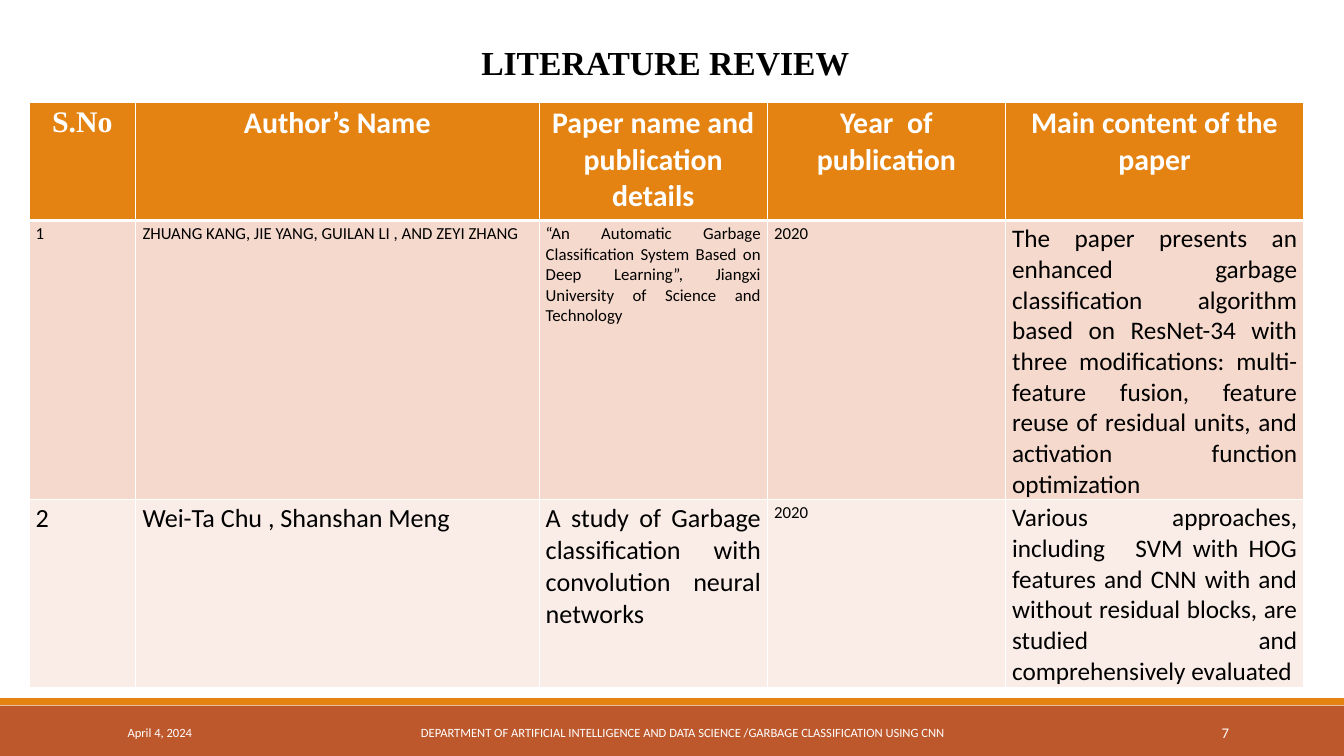
"""Build the literature review slide with its table and footer."""
from lxml import etree
from pptx import Presentation
from pptx.dml.color import RGBColor
from pptx.enum.shapes import MSO_SHAPE
from pptx.enum.text import MSO_ANCHOR, PP_ALIGN
from pptx.oxml.ns import qn
from pptx.util import Pt

LEFT, CENTER, RIGHT, JUSTIFY = PP_ALIGN.LEFT, PP_ALIGN.CENTER, PP_ALIGN.RIGHT, PP_ALIGN.JUSTIFY
TOP, MIDDLE = MSO_ANCHOR.TOP, MSO_ANCHOR.MIDDLE
RECT = MSO_SHAPE.RECTANGLE
SANS, SERIF = "Calibri", "Times New Roman"
COLORS = {
    "white": "FFFFFF", "black": "000000", "orange": "E48312",
    "rust": "BD582C", "band_dark": "F5D9CC", "band_light": "FAEDE7",
}


def write(tf, text, size, color, align=LEFT, font=SANS, bold=False):
    tf.text = text
    tf.word_wrap = True
    p = tf.paragraphs[0]
    p.alignment = align
    r = p.runs[0]
    r.font.size = Pt(size)
    r.font.name = font
    r.font.bold = bold
    r.font.color.rgb = RGBColor.from_string(COLORS[color])


def add_border(cell, side, width):
    ln = etree.SubElement(cell._tc.get_or_add_tcPr(), qn(f"a:ln{side}"), w=str(Pt(width)))
    fill = etree.SubElement(ln, qn("a:solidFill"))
    etree.SubElement(fill, qn("a:srgbClr"), val=COLORS["white"])


prs = Presentation()
prs.slide_width, prs.slide_height = Pt(1440), Pt(810)
s = prs.slides.add_slide(prs.slide_layouts[6])

for top, height, color in [(756, 54, "rust"), (748, 7.5, "orange")]:
    sp = s.shapes.add_shape(RECT, 0, Pt(top), Pt(1440), Pt(height))
    sp.shadow.inherit = False
    sp.fill.solid()
    sp.fill.fore_color.rgb = RGBColor.from_string(COLORS[color])
    sp.line.fill.background()

footer = [
    (129.6, 292.3, "April 4, 2024", 13.5, LEFT),
    (435.6, 591.8, "DEPARTMENT OF ARTIFICIAL INTELLIGENCE AND DATA SCIENCE "
     "/GARBAGE CLASSIFICATION USING CNN", 13.5, CENTER),
    (1169.3, 154.8, "7", 15.8, RIGHT),
]
for left, width, text, size, align in footer:
    tf = s.shapes.add_textbox(Pt(left), Pt(763.2), Pt(width), Pt(43.2)).text_frame
    tf.vertical_anchor = MIDDLE
    write(tf, text, size, "white", align)

tf = s.shapes.add_textbox(Pt(31), Pt(20.2), Pt(1327.7), Pt(64.8)).text_frame
tf.margin_left = Pt(43.2)
write(tf, "LITERATURE REVIEW", 36, "black", CENTER, SERIF, True)
tf.paragraphs[0].line_spacing = 1.5

col_widths = [114.5, 432, 244.8, 254.9, 319.7]
row_heights = [126.7, 292.3, 197.3]
row_fills = ["orange", "band_dark", "band_light"]
sizes = [[32] * 5, [18, 18, 18, 18, 27], [28, 28, 28, 18, 27]]
rows = [
    ["S.No", "Author’s Name", "Paper name and publication details",
     "Year  of publication", "Main content of the paper"],
    ["1", "ZHUANG KANG, JIE YANG, GUILAN LI , AND ZEYI ZHANG",
     "“An Automatic Garbage Classification System Based on Deep Learning”, "
     "Jiangxi University of Science and Technology",
     "2020",
     "The paper presents an enhanced garbage classification algorithm based on "
     "ResNet-34 with three modifications: multi-feature fusion, feature reuse of "
     "residual units, and activation function optimization"],
    ["2", "Wei-Ta Chu , Shanshan Meng",
     "A study of Garbage classification with convolution neural networks",
     "2020",
     "Various approaches, including   SVM with HOG features and CNN with and "
     "without residual blocks, are studied and comprehensively evaluated"],
]
table = s.shapes.add_table(3, 5, Pt(31), Pt(109.4), Pt(sum(col_widths)),
                           Pt(sum(row_heights))).table
table.horz_banding = False
for col, width in zip(table.columns, col_widths):
    col.width = Pt(width)
for i, row in enumerate(rows):
    table.rows[i].height = Pt(row_heights[i])
    header = i == 0
    for j, text in enumerate(row):
        cell = table.cell(i, j)
        cell.vertical_anchor = TOP
        align = CENTER if header else LEFT if j == 3 else JUSTIFY
        font = SERIF if header and j == 0 else SANS
        write(cell.text_frame, text, sizes[i][j], "white" if header else "black",
              align, font, header)
        for side in "LRTB":
            thick = (header and side == "B") or (i == 1 and side == "T")
            add_border(cell, side, 3 if thick else 1)
        cell.fill.solid()
        cell.fill.fore_color.rgb = RGBColor.from_string(COLORS[row_fills[i]])

prs.save("out.pptx")
